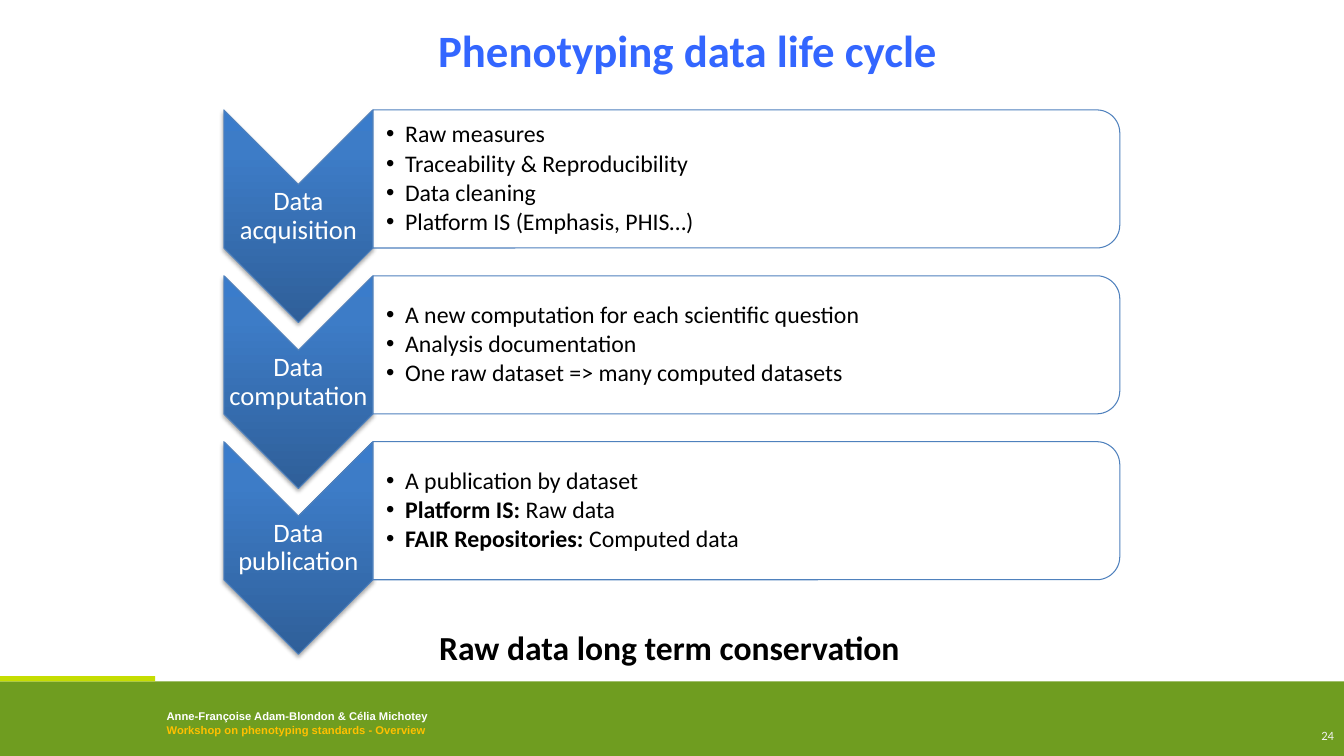
from dataclasses import dataclass

from lxml.etree import SubElement
from pptx import Presentation
from pptx.dml.color import RGBColor
from pptx.enum.shapes import MSO_SHAPE
from pptx.enum.text import MSO_ANCHOR, PP_ALIGN
from pptx.oxml import parse_xml
from pptx.oxml.ns import nsdecls, qn
from pptx.util import Cm, Pt


@dataclass(frozen=True)
class Theme:
    font: str = "Calibri"
    footer_font: str = "Arial"
    title: str = "3366FF"
    text: str = "000000"
    white: str = "FFFFFF"
    outline: str = "4F81BD"
    bar: str = "6F9D20"
    accent: str = "C5DD01"
    event: str = "FFC000"
    number: str = "F2F2F2"
    gradient: tuple = ((0, "2F5F99"), (80, "3D7CC7"), (100, "3A7CCB"))
    title_size: int = 32
    closing_size: int = 24
    label_size: int = 19
    body_size: int = 17
    number_size: int = 9
    footer_size: int = 8


T = Theme()

# Bullets are plain strings, or (bold lead, rest) pairs
STAGES = [
    ("Data acquisition", ["Raw measures", "Traceability & Reproducibility",
                          "Data cleaning", "Platform IS (Emphasis, PHIS…)"]),
    ("Data computation", ["A new computation for each scientific question",
                          "Analysis documentation",
                          "One raw dataset => many computed datasets"]),
    ("Data publication", ["A publication by dataset",
                          ("Platform IS: ", "Raw data"),
                          ("FAIR Repositories: ", "Computed data")]),
]


# Text and shape helpers
def add_text(p, text, size, color=T.text, bold=False, font=T.font,
             align=None, spacing=None):
    if align is not None:
        p.alignment = align
    if spacing is not None:
        p.line_spacing = spacing
    r = p.add_run()
    r.text = text
    r.font.name = font
    r.font.size = Pt(size)
    r.font.bold = bold
    r.font.color.rgb = RGBColor.from_string(color)


def add_box(s, x, y, w, h, anchor=MSO_ANCHOR.TOP, insets=None, wrap=True):
    tf = s.shapes.add_textbox(Cm(x), Cm(y), Cm(w), Cm(h)).text_frame
    tf.word_wrap = wrap
    tf.vertical_anchor = anchor
    if insets:
        tf.margin_left, tf.margin_top, tf.margin_right, tf.margin_bottom = map(Cm, insets)
    return tf


def add_solid(s, kind, x, y, w, h, fill, outline=None):
    sp = s.shapes.add_shape(kind, Cm(x), Cm(y), Cm(w), Cm(h))
    sp.shadow.inherit = False
    sp.fill.solid()
    sp.fill.fore_color.rgb = RGBColor.from_string(fill)
    if outline:
        sp.line.color.rgb = RGBColor.from_string(outline)
        sp.line.width = Pt(0.75)
    else:
        sp.line.fill.background()
    return sp


def add_turned(s, kind, x, y, w, h):
    """Place a shape turned by 90° so that it covers the given box."""
    sp = add_solid(s, kind, x + (w - h) / 2, y + (h - w) / 2, h, w, T.white, T.outline)
    sp.rotation = 90
    return sp


def add_bullet(p):
    pPr = p._p.get_or_add_pPr()
    pPr.set("marL", str(Cm(0.48)))
    pPr.set("indent", str(-Cm(0.48)))
    SubElement(pPr, qn("a:buFont")).set("typeface", "Arial")
    SubElement(pPr, qn("a:buChar")).set("char", "•")


def style_chevron(sp):
    stops = "".join(f'<a:gs pos="{pos * 1000}"><a:srgbClr val="{color}"/></a:gs>'
                    for pos, color in T.gradient)
    spPr = sp._element.spPr
    spPr.replace(spPr.find(qn("a:solidFill")), parse_xml(
        f'<a:gradFill {nsdecls("a")} rotWithShape="0"><a:gsLst>{stops}</a:gsLst>'
        '<a:lin ang="16200000" scaled="0"/></a:gradFill>'))
    spPr.find(qn("a:effectLst")).append(parse_xml(
        f'<a:outerShdw {nsdecls("a")} blurRad="{Pt(3.1)}" dist="{Pt(1.8)}" '
        'dir="5400000" rotWithShape="0"><a:srgbClr val="000000">'
        '<a:alpha val="35000"/></a:srgbClr></a:outerShdw>'))


# Slide regions
def build_title(s, x, y, w, h):
    title = s.shapes.title
    title.left, title.top, title.width, title.height = map(Cm, (x, y, w, h))
    tf = title.text_frame
    tf.vertical_anchor = MSO_ANCHOR.MIDDLE
    add_text(tf.paragraphs[0], "Phenotyping data life cycle", T.title_size,
             T.title, bold=True, align=PP_ALIGN.CENTER)


def build_stage(s, x, y, w, h, label, bullets):
    arrow_w, arrow_h = 3.76, 5.36

    # Arrow with its label
    style_chevron(add_turned(s, MSO_SHAPE.CHEVRON, x, y, arrow_w, arrow_h))
    tf = add_box(s, x, y + arrow_w / 2, arrow_w, arrow_h - arrow_w,
                 MSO_ANCHOR.MIDDLE, (0.03,) * 4)
    add_text(tf.paragraphs[0], label, T.label_size, T.white,
             align=PP_ALIGN.CENTER, spacing=0.9)

    # Panel with its bullets
    panel_x, panel_w = x + arrow_w, w - arrow_w
    panel = add_turned(s, MSO_SHAPE.ROUND_2_SAME_RECTANGLE, panel_x, y, panel_w, h)
    color = panel._element.spPr.find(qn("a:solidFill"))[0]
    SubElement(color, qn("a:alpha")).set("val", "90000")
    tf = add_box(s, panel_x, y + 0.17, panel_w - 0.17, h - 0.34,
                 MSO_ANCHOR.MIDDLE, (0.33, 0.03, 0.03, 0.03))
    for i, bullet in enumerate(bullets):
        p = tf.add_paragraph() if i else tf.paragraphs[0]
        add_bullet(p)
        p.space_after = Pt(2.5)
        lead, rest = bullet if isinstance(bullet, tuple) else ("", bullet)
        if lead:
            add_text(p, lead, T.body_size, bold=True)
        add_text(p, rest, T.body_size, spacing=0.9)


def build_cycle(s, x, y, w, h):
    panel_h = 3.48
    pitch = (h - panel_h) / (len(STAGES) - 1)
    for i, (label, bullets) in enumerate(STAGES):
        build_stage(s, x, y + i * pitch, w, panel_h, label, bullets)


def build_closing(s, x, y, w, h):
    tf = add_box(s, x, y, w, h, wrap=False)
    add_text(tf.paragraphs[0], "Raw data long term conservation",
             T.closing_size, bold=True)


def build_footer(s, x, y, w, h):
    add_solid(s, MSO_SHAPE.RECTANGLE, x, y, w, h, T.bar)
    add_solid(s, MSO_SHAPE.RECTANGLE, x, y - 0.13, 3.91, 0.13, T.accent)
    tf = add_box(s, x + 3.95, y + 0.59, 11.48, 0.94)
    add_text(tf.paragraphs[0], "Anne-Françoise Adam-Blondon & Célia Michotey",
             T.footer_size, T.white, bold=True, font=T.footer_font)
    add_text(tf.add_paragraph(), "Workshop on phenotyping standards - Overview",
             T.footer_size, T.event, bold=True, font=T.footer_font)
    tf = add_box(s, x + w - 7.9, y + h - 1.01, 7.9, 1.01, MSO_ANCHOR.MIDDLE)
    add_text(tf.paragraphs[0], "24", T.number_size, T.number, align=PP_ALIGN.RIGHT)


def main():
    prs = Presentation()
    prs.slide_width, prs.slide_height = Cm(33.87), Cm(19.05)
    s = prs.slides.add_slide(prs.slide_layouts[5])
    build_footer(s, 0, 17.17, 33.87, 1.88)
    build_title(s, 6.27, 0, 22.12, 2.51)
    build_cycle(s, 5.64, 2.77, 22.58, 11.84)
    build_closing(s, 10.82, 15.67, 12.24, 1.27)
    prs.save("out.pptx")


if __name__ == "__main__":
    main()
